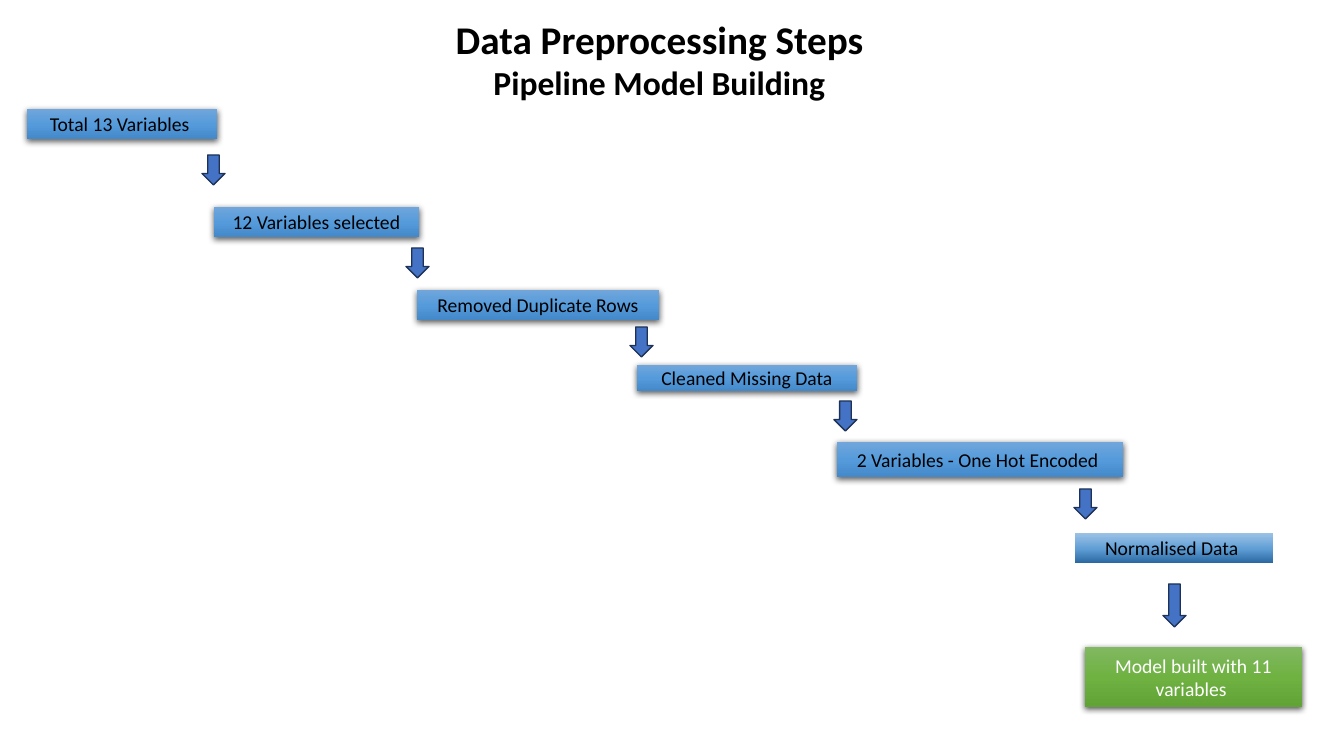
"""Build the data preprocessing slide: a staircase of steps joined by arrows."""
from copy import deepcopy

from pptx import Presentation, util as u
from pptx.dml.color import RGBColor
from pptx.enum import shapes, text
from pptx.oxml import parse_xml
from pptx.oxml.ns import nsdecls, qn

SCALE = 914400 / 100.8
COLOURS = {
    "black": "000000",
    "white": "FFFFFF",
    "arrow": "4472C4",
    "arrow edge": "1E3256",
}
GRADIENTS = {
    "blue": [(0, "71A6DB"), (0.5, "559BDB"), (1, "448ACA")],
    "deep": [(0, "9DC3E6"), (0.52, "609ED6"), (1, "2A69A2")],
    "green": [(0, "81B861"), (0.5, "6FB242"), (1, "62A336")],
}
SHADOW = (
    f'<a:outerShdw {nsdecls("a")} blurRad="57150" dist="19050" dir="5400000" '
    'algn="ctr" rotWithShape="0"><a:srgbClr val="000000">'
    '<a:alpha val="63000"/></a:srgbClr></a:outerShdw>'
)
STEPS = [
    ("Total 13 Variables ", (27, 109, 190, 30), "blue", "black"),
    ("12 Variables selected", (214, 207, 205, 30), "blue", "black"),
    ("Removed Duplicate Rows", (417, 290, 242, 30), "blue", "black"),
    ("Cleaned Missing Data", (637, 365, 220, 26), "blue", "black"),
    ("2 Variables - One Hot Encoded ", (837, 442, 286, 35), "blue", "black"),
    ("Normalised Data ", (1075, 533, 198, 30), "deep", "black"),
    ("Model built with 11 variables ", (1085, 647, 217, 60), "green", "white"),
]
ARROWS = [
    (202, 155, 30), (406, 248, 30), (630, 327, 30),
    (834, 401, 30), (1074, 489, 30), (1163, 584, 43),
]
ARROW_WIDTH = 23


def px(*lengths):
    """Turn pixel lengths into EMU."""
    return [u.Emu(round(length * SCALE)) for length in lengths]


def add_span(para, words, size, colour, bold=False):
    """Add one centred, formatted run to a paragraph."""
    para.alignment = text.PP_ALIGN.CENTER
    span = para.add_run()
    span.text = words
    span.font.name = "Calibri"
    span.font.size = u.Pt(size)
    span.font.bold = bold
    span.font.color.rgb = RGBColor.from_string(COLOURS[colour])


deck = Presentation()
deck.slide_width, deck.slide_height = px(1344, 756)
page = deck.slides.add_slide(deck.slide_layouts[5])

title = page.shapes.title
title.left, title.top, title.width, title.height = px(268, 10, 783, 99)
frame = title.text_frame
frame.word_wrap = True
frame.auto_size = text.MSO_AUTO_SIZE.NONE
frame.vertical_anchor = text.MSO_ANCHOR.TOP
add_span(frame.paragraphs[0], "Data Preprocessing Steps", 28, "black", True)
add_span(frame.add_paragraph(), "Pipeline Model Building", 24, "black", True)

for words, place, gradient, colour in STEPS:
    box = page.shapes.add_shape(shapes.MSO_SHAPE.RECTANGLE, *px(*place))
    box.fill.gradient()
    box.fill.gradient_angle = 270
    stop_list = box.fill._xPr.find(qn("a:gradFill")).find(qn("a:gsLst"))
    stop_list.insert(1, deepcopy(stop_list[0]))
    for stop, (position, shade) in zip(box.fill.gradient_stops, GRADIENTS[gradient]):
        stop.position = position
        stop.color.rgb = RGBColor.from_string(shade)
    box.line.fill.background()
    box.shadow.inherit = False
    if gradient != "deep":
        effects = box._element.spPr.find(qn("a:effectLst"))
        effects.append(parse_xml(SHADOW))
    box.text_frame.word_wrap = True
    box.text_frame.vertical_anchor = text.MSO_ANCHOR.MIDDLE
    add_span(box.text_frame.paragraphs[0], words, 14, colour)

for left, top, height in ARROWS:
    arrow = page.shapes.add_shape(
        shapes.MSO_SHAPE.DOWN_ARROW, *px(left, top, ARROW_WIDTH, height)
    )
    arrow.shadow.inherit = False
    arrow.fill.solid()
    arrow.fill.fore_color.rgb = RGBColor.from_string(COLOURS["arrow"])
    arrow.line.color.rgb = RGBColor.from_string(COLOURS["arrow edge"])
    arrow.line.width = u.Pt(1)

deck.save("out.pptx")
